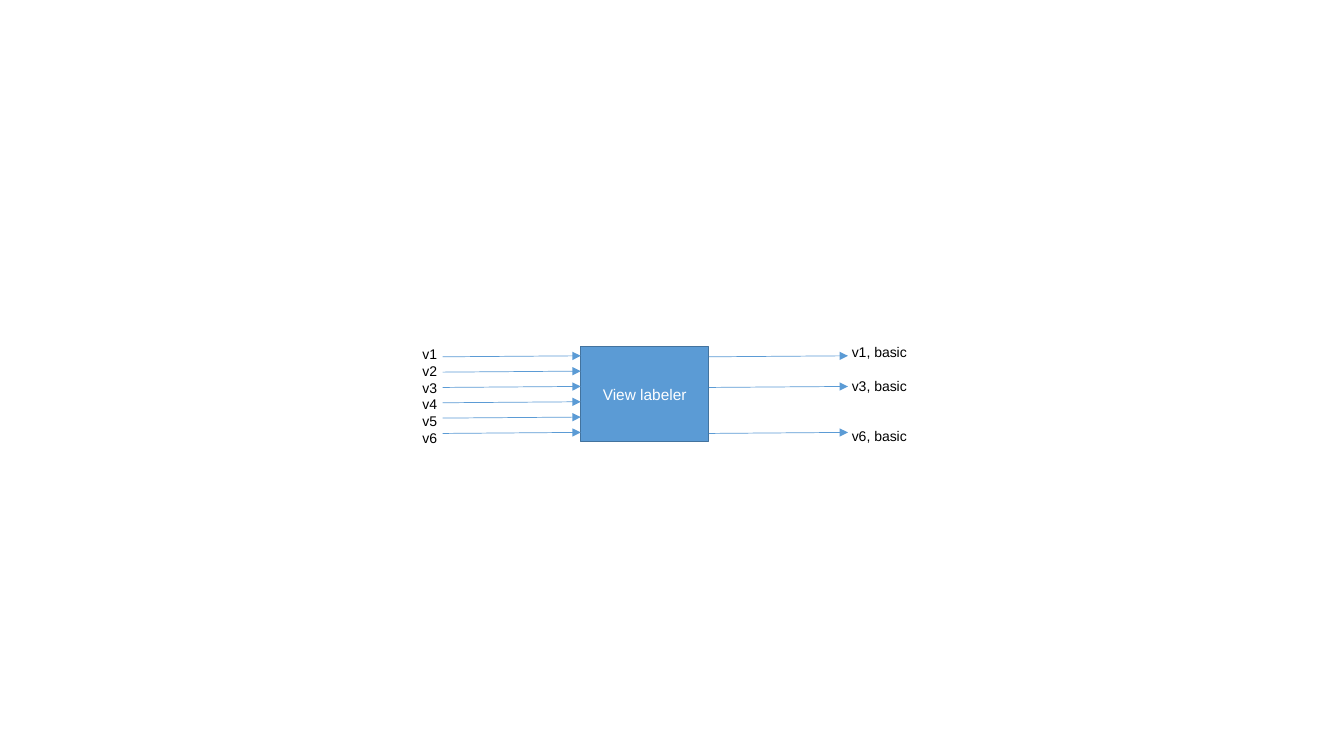
"""Draw a view labeler that takes six views and labels three of them."""
from lxml.etree import SubElement
from pptx import Presentation
from pptx.dml.color import RGBColor
from pptx.enum.shapes import MSO_CONNECTOR, MSO_SHAPE
from pptx.enum.text import MSO_ANCHOR, PP_ALIGN
from pptx.oxml.ns import qn
from pptx.util import Inches, Pt

VIEWS = ["v1", "v2", "v3", "v4", "v5", "v6"]
BASIC = ["v1", "v3", "v6"]
TITLE = "View labeler"

BLUE = RGBColor(0x5B, 0x9B, 0xD5)
EDGE = RGBColor(0x43, 0x73, 0x9E)
WHITE = RGBColor(255, 255, 255)
BLACK = RGBColor(0, 0, 0)

LEFT, TOP, WIDTH, HEIGHT = 5.76, 3.44, 1.27, 0.94
RIGHT = LEFT + WIDTH
START, END = 4.39, 8.41
FIRST, STEP, RISE = 3.54, 0.152, 0.01
PITCH = 12


def style(para, size, color):
    para.font.name = "Arial"
    para.font.size = Pt(size)
    para.font.color.rgb = color


def arrow(x1, x2, row):
    y = FIRST + row * STEP
    line = slide.shapes.add_connector(
        MSO_CONNECTOR.STRAIGHT, Inches(x1), Inches(y), Inches(x2), Inches(y - RISE))
    line.line.color.rgb = BLUE
    line.line.width = Pt(0.5)
    SubElement(line.line._get_or_add_ln(), qn("a:tailEnd"), type="triangle")
    SubElement(line._element.spPr, qn("a:effectLst"))


def labels(x, y, width, items):
    box = slide.shapes.add_textbox(Inches(x), Inches(y), Inches(width), Inches(1.1))
    frame = box.text_frame
    frame.word_wrap = False
    frame.text = "\n".join(text for _, text in items)
    last = -1
    for para, (row, _) in zip(frame.paragraphs, items):
        style(para, 10, BLACK)
        para.line_spacing = Pt(PITCH)
        para.space_before = Pt(PITCH * (row - last - 1))
        last = row


deck = Presentation()
deck.slide_width, deck.slide_height = Inches(13.33), Inches(7.5)
slide = deck.slides.add_slide(deck.slide_layouts[6])

block = slide.shapes.add_shape(
    MSO_SHAPE.RECTANGLE, Inches(LEFT), Inches(TOP), Inches(WIDTH), Inches(HEIGHT))
block.shadow.inherit = False
block.fill.solid()
block.fill.fore_color.rgb = BLUE
block.line.color.rgb = EDGE
block.line.width = Pt(1)
block.text_frame.text = TITLE
block.text_frame.vertical_anchor = MSO_ANCHOR.MIDDLE
block.text_frame.paragraphs[0].alignment = PP_ALIGN.CENTER
style(block.text_frame.paragraphs[0], 11, WHITE)

for row, view in enumerate(VIEWS):
    arrow(START, LEFT, row)
    if view in BASIC:
        arrow(RIGHT, END, row)

labels(4.09, 3.38, 0.35, list(enumerate(VIEWS)))
labels(8.35, 3.36, 0.76, [(VIEWS.index(view), f"{view}, basic") for view in BASIC])

deck.save("out.pptx")
